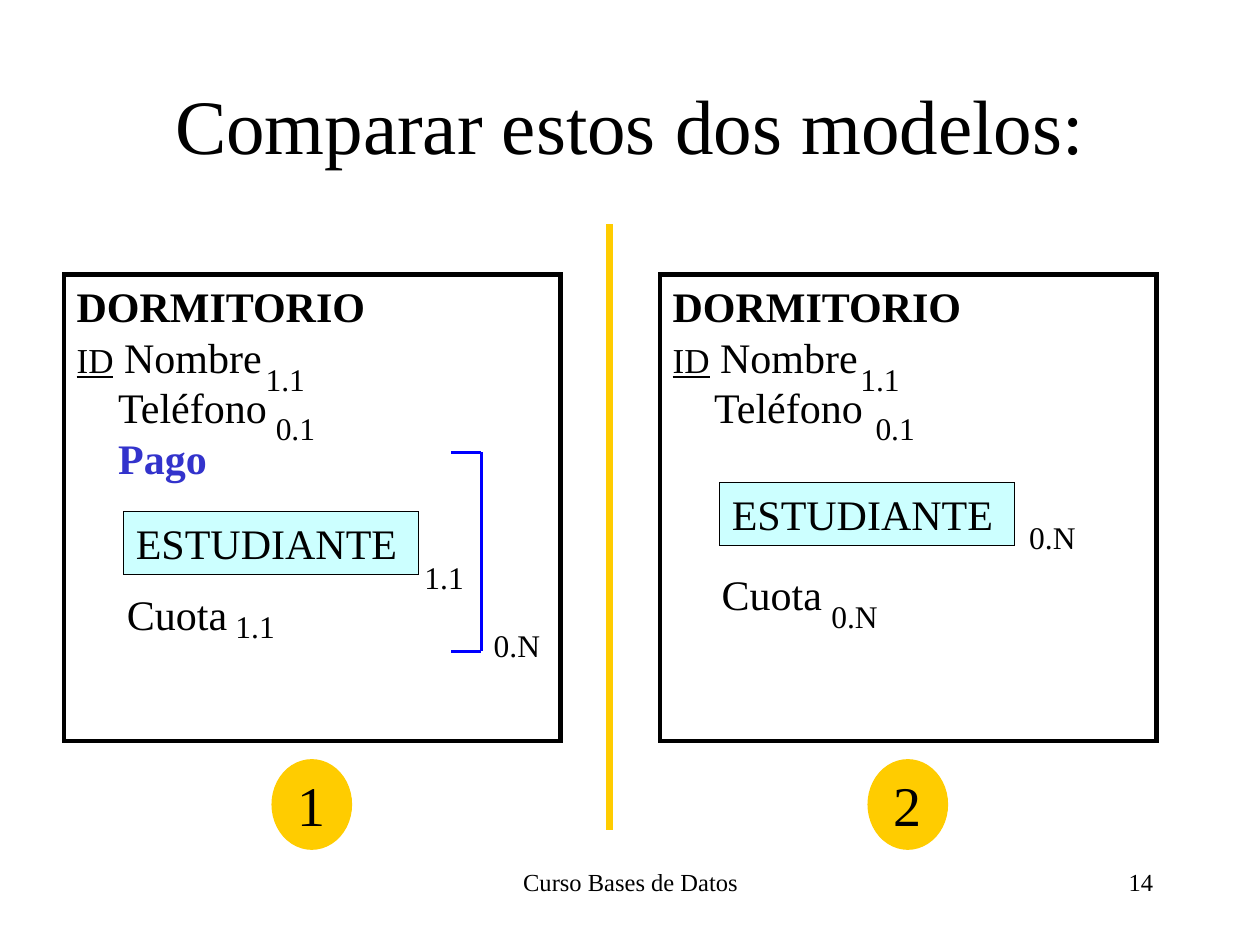
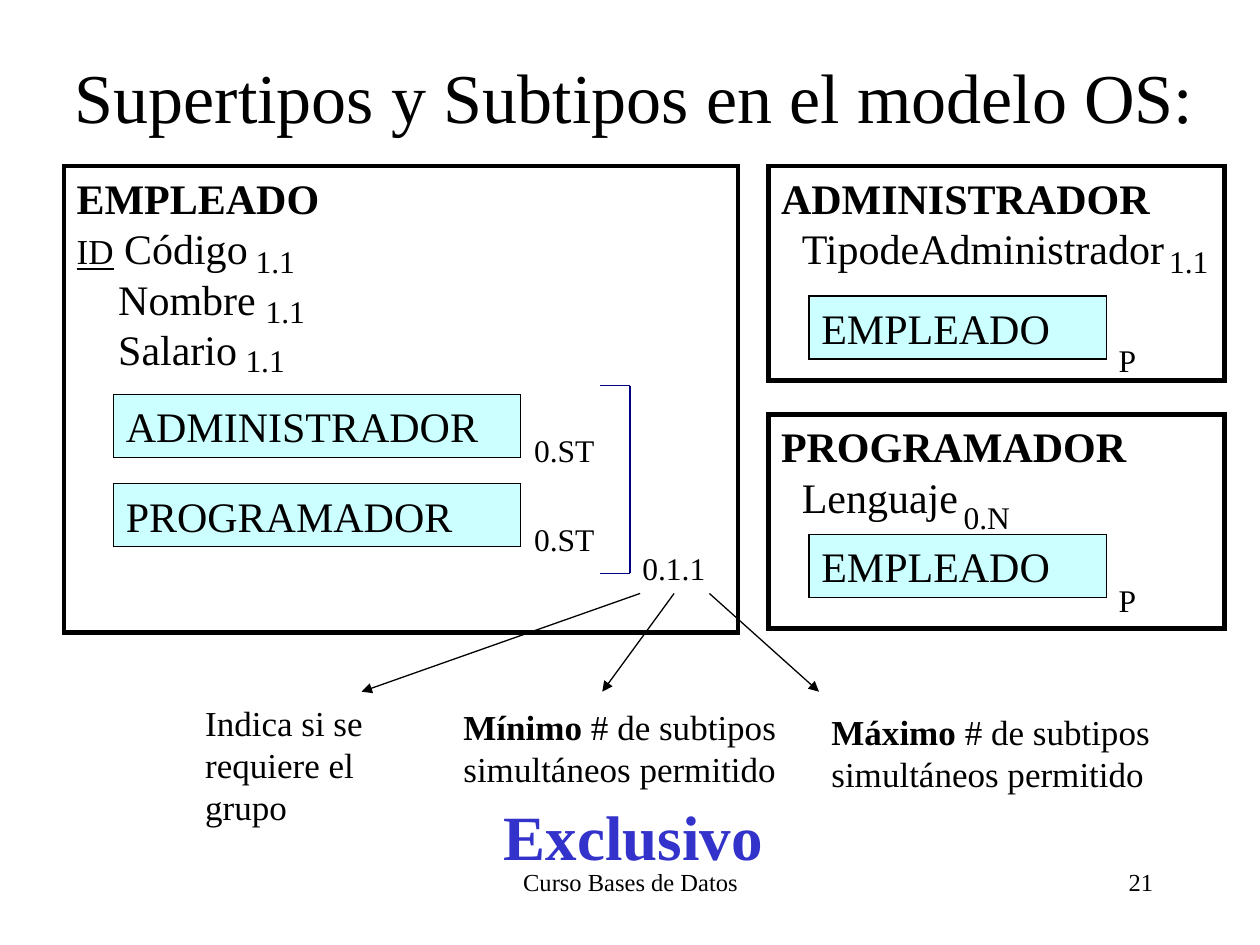
"""Build two slides on entity models: a comparison, and supertypes with subtypes."""
from dataclasses import dataclass

from lxml.etree import SubElement as Sub
from pptx import Presentation
from pptx.dml.color import RGBColor
from pptx.enum.shapes import MSO_CONNECTOR as Link, MSO_SHAPE as Form
from pptx.enum.text import MSO_ANCHOR as Anchor, PP_ALIGN as Align
from pptx.oxml.ns import qn
from pptx.shapes.autoshape import Shape
from pptx.shapes.connector import Connector
from pptx.slide import Slide
from pptx.util import Inches, Pt

BLACK = RGBColor(0x00, 0x00, 0x00)
INDIGO = RGBColor(0x33, 0x33, 0xCC)
BLUE = RGBColor(0x00, 0x00, 0xFF)
NAVY = RGBColor(0x00, 0x00, 0x80)
AQUA = RGBColor(0xCC, 0xFF, 0xFF)
GOLD = RGBColor(0xFF, 0xCC, 0x00)
FONT = "Times New Roman"
FOOTER = "Curso Bases de Datos"
INDENT = 0.33
TICK = 0.24
WIDTHS = {"1.1": 0.51, "0.1": 0.51, "0.N": 0.57, "0.ST": 0.68, "0.1.1": 0.7, "P": 0.34}


@dataclass(frozen=True)
class Run:
    """A stretch of text in one style."""
    text: str
    size: int = 24
    bold: bool = False
    under: bool = False
    color: RGBColor = BLACK


@dataclass(frozen=True)
class Line:
    """A paragraph of runs with a left indent in inches."""
    runs: tuple[Run, ...]
    indent: float = 0


@dataclass(frozen=True)
class Place:
    """Left, top, width and height in inches."""
    x: float
    y: float
    w: float
    h: float


@dataclass(frozen=True)
class Panel:
    """A framed object type with its listed fields."""
    place: Place
    name: str
    fields: tuple[Line, ...]


@dataclass(frozen=True)
class Member:
    """A shaded reference to another object type."""
    name: str
    x: float
    y: float
    w: float


@dataclass(frozen=True)
class Mark:
    """A cardinality label."""
    text: str
    x: float
    y: float


@dataclass(frozen=True)
class Note:
    """An unframed block of text."""
    place: Place
    lines: tuple[Line, ...]


def plain(text: str, indent: float = INDENT, **style) -> Line:
    """Return a line with a single run."""
    return Line((Run(text, **style),), indent)


def key(name: str) -> Line:
    """Return the line of an identifying field."""
    return Line((Run("ID", 20, under=True), Run(f" {name}")))


def limit(word: str) -> tuple[Line, ...]:
    """Return the lines that explain a limit on subtypes."""
    return (Line((Run(word, 20, True), Run(" # de subtipos", 20))),
            plain("simultáneos permitido", 0, size=20))


def write(shape: Shape, lines: tuple[Line, ...], align: Align = Align.LEFT,
          anchor: Anchor = Anchor.TOP, wrap: bool = True) -> None:
    """Fill a shape with styled lines."""
    frame = shape.text_frame
    frame.word_wrap = wrap
    frame.vertical_anchor = anchor
    for index, line in enumerate(lines):
        para = frame.add_paragraph() if index else frame.paragraphs[0]
        para.text = line.runs[0].text
        for run in line.runs[1:]:
            para.add_run().text = run.text
        if line.indent:
            para._p.get_or_add_pPr().set("marL", str(Inches(line.indent)))
        para.alignment = align
        for part, run in zip(para.runs, line.runs):
            font = part.font
            font.name, font.size = FONT, Pt(run.size)
            font.bold, font.underline = run.bold, run.under
            font.color.rgb = run.color


def spot(place: Place) -> tuple:
    """Convert a place to lengths."""
    return tuple(Inches(side) for side in (place.x, place.y, place.w, place.h))


def add_text(slide: Slide, place: Place, lines: tuple[Line, ...], **layout) -> Shape:
    """Add a text box."""
    box = slide.shapes.add_textbox(*spot(place))
    write(box, lines, **layout)
    return box


def add_form(slide: Slide, form: Form, place: Place, fill: RGBColor | None,
             edge: RGBColor, width: float) -> Shape:
    """Add a flat shape with sharp corners."""
    shape = slide.shapes.add_shape(form, *spot(place))
    shape.shadow.inherit = False
    if fill is None:
        shape.fill.background()
    else:
        shape.fill.solid()
        shape.fill.fore_color.rgb = fill
    shape.line.color.rgb = edge
    shape.line.width = Pt(width)
    Sub(shape.line._get_or_add_ln(), qn("a:miter"), lim="800000")
    return shape


def add_line(slide: Slide, start: tuple[float, float], end: tuple[float, float],
             color: RGBColor = BLACK, width: float = 0.75, arrow: bool = False) -> Connector:
    """Add a straight line, with an arrowhead if asked."""
    line = slide.shapes.add_connector(
        Link.STRAIGHT, *(Inches(side) for side in (*start, *end)))
    line.line.color.rgb = color
    line.line.width = Pt(width)
    if arrow:
        Sub(line.line._get_or_add_ln(), qn("a:tailEnd"), type="triangle")
    Sub(line._element.spPr, qn("a:effectLst"))
    return line


def add_brace(slide: Slide, x: float, top: float, low: float,
              color: RGBColor, width: float) -> None:
    """Add a square bracket that opens to the left."""
    add_line(slide, (x, top), (x, low), color, width)
    for y in (top, low):
        add_line(slide, (x - TICK, y), (x, y), color, width)


def add_panel(slide: Slide, panel: Panel) -> None:
    """Add a framed object type."""
    shape = add_form(slide, Form.RECTANGLE, panel.place, None, BLACK, 2.5)
    write(shape, (plain(panel.name, 0, bold=True), *panel.fields))


def add_member(slide: Slide, item: Member) -> None:
    """Add a shaded reference."""
    place = Place(item.x, item.y, item.w, 0.5)
    shape = add_form(slide, Form.RECTANGLE, place, AQUA, BLACK, 0.75)
    write(shape, (plain(item.name, 0),))


def add_mark(slide: Slide, mark: Mark) -> Shape:
    """Add a cardinality label."""
    place = Place(mark.x, mark.y, WIDTHS[mark.text], 0.4)
    return add_text(slide, place, (plain(mark.text, 0, size=18),), wrap=False)


def add_parts(slide: Slide, panels: tuple[Panel, ...], members: tuple[Member, ...],
              marks: tuple[Mark, ...], notes: tuple[Note, ...]) -> None:
    """Add the parts of a model from back to front."""
    for panel in panels:
        add_panel(slide, panel)
    for item in members:
        add_member(slide, item)
    for mark in marks:
        add_mark(slide, mark)
    for note in notes:
        add_text(slide, note.place, note.lines)


def start(deck: Presentation, title: str, place: Place, size: int, page: int) -> Slide:
    """Add a slide with title, footer and page number."""
    slide = deck.slides.add_slide(deck.slide_layouts[6])
    add_text(slide, Place(3.42, 6.83, 3.17, 0.5), (plain(FOOTER, 0, size=14),),
             align=Align.CENTER)
    add_text(slide, Place(7.17, 6.83, 2.08, 0.5), (plain(str(page), 0, size=14),),
             align=Align.RIGHT)
    add_text(slide, place, (plain(title, 0, size=size),),
             align=Align.CENTER, anchor=Anchor.MIDDLE)
    return slide


def compare(deck: Presentation) -> None:
    """Build the slide that compares two models."""
    slide = start(deck, "Comparar estos dos modelos:", Place(0.75, 0.36, 8.5, 1.25), 44, 14)
    fields = (key("Nombre"), plain("Teléfono"))
    pay = plain("Pago", bold=True, color=INDIGO)
    lefts = (0.51, 5.24)
    panels = tuple(Panel(Place(x, 2.18, 3.94, 3.7), "DORMITORIO", rows)
                   for x, rows in zip(lefts, ((*fields, pay), fields)))
    members = (Member("ESTUDIANTE", 0.98, 4.06, 2.34), Member("ESTUDIANTE", 5.71, 3.83, 2.34))
    marks = (
        Mark("1.1", 2.01, 2.81), Mark("0.1", 2.09, 3.2), Mark("1.1", 3.27, 4.38),
        Mark("1.1", 1.77, 4.77), Mark("0.N", 3.82, 4.92),
        Mark("1.1", 6.73, 2.81), Mark("0.1", 6.85, 3.2), Mark("0.N", 8.07, 4.06),
        Mark("0.N", 6.5, 4.69),
    )
    notes = tuple(Note(Place(x, y, 1.1, 0.5), (plain("Cuota", 0),))
                  for x, y in ((0.91, 4.62), (5.63, 4.46)))
    add_parts(slide, panels, members, marks, notes)
    add_brace(slide, 3.82, 3.59, 5.17, BLUE, 2)
    for number, x in enumerate(lefts, 1):
        disc = add_form(slide, Form.OVAL, Place(x + 1.65, 6.03, 0.63, 0.71), GOLD, GOLD, 0.75)
        write(disc, (plain(str(number), 0, size=32),), Align.CENTER, Anchor.MIDDLE, False)
    add_line(slide, (4.84, 1.78), (4.84, 6.59), GOLD, 4)


def subtypes(deck: Presentation) -> None:
    """Build the slide on supertypes and subtypes."""
    slide = start(deck, "Supertipos y Subtipos en el modelo OS:",
                  Place(0.35, 0.13, 9.37, 1.25), 40, 21)
    half = INDENT / 2
    panels = (
        Panel(Place(0.51, 1.32, 5.35, 3.7), "EMPLEADO",
              (key("Código"), plain("Nombre"), plain("Salario"))),
        Panel(Place(6.1, 1.32, 3.62, 1.7), "ADMINISTRADOR", (plain("TipodeAdministrador", half),)),
        Panel(Place(6.1, 3.29, 3.62, 1.7), "PROGRAMADOR", (plain("Lenguaje", half),)),
    )
    members = (
        Member("ADMINISTRADOR", 0.9, 3.13, 3.23), Member("PROGRAMADOR", 0.9, 3.84, 3.23),
        Member("EMPLEADO", 6.42, 2.35, 2.36), Member("EMPLEADO", 6.42, 4.24, 2.36),
    )
    marks = (
        Mark("1.1", 1.93, 1.87), Mark("1.1", 2.01, 2.27), Mark("1.1", 1.85, 2.66),
        Mark("0.ST", 4.14, 3.37), Mark("0.ST", 4.14, 4.08),
        Mark("1.1", 9.18, 1.87), Mark("0.N", 7.55, 3.9),
        Mark("P", 8.78, 2.66), Mark("P", 8.78, 4.56),
    )
    needs = tuple(plain(text, 0, size=20) for text in ("Indica si se", "requiere el", "grupo"))
    notes = (
        Note(Place(1.53, 5.52, 1.57, 1.1), needs),
        Note(Place(3.58, 5.55, 2.8, 0.77), limit("Mínimo")),
        Note(Place(6.5, 5.59, 2.85, 0.77), limit("Máximo")),
        Note(Place(3.9, 6.28, 2.5, 0.7), (plain("Exclusivo", 0, size=36, bold=True, color=INDIGO),)),
    )
    add_parts(slide, panels, members, marks, notes)
    add_brace(slide, 5, 3.06, 4.55, NAVY, 0.75)
    group = add_mark(slide, Mark("0.1.1", 5, 4.31))
    for x, end in ((5.08, 2.87), (5.63, 6.5)):
        add_line(slide, (x, 4.71), (end, 5.49), arrow=True)
    middle = add_line(slide, (5.35, 4.71), (4.78, 5.49), arrow=True)
    middle.begin_connect(group, 2)


def main() -> None:
    """Build and save the deck."""
    deck = Presentation()
    deck.slide_width, deck.slide_height = Inches(10), Inches(7.5)
    compare(deck)
    subtypes(deck)
    deck.save("out.pptx")


if __name__ == "__main__":
    main()
